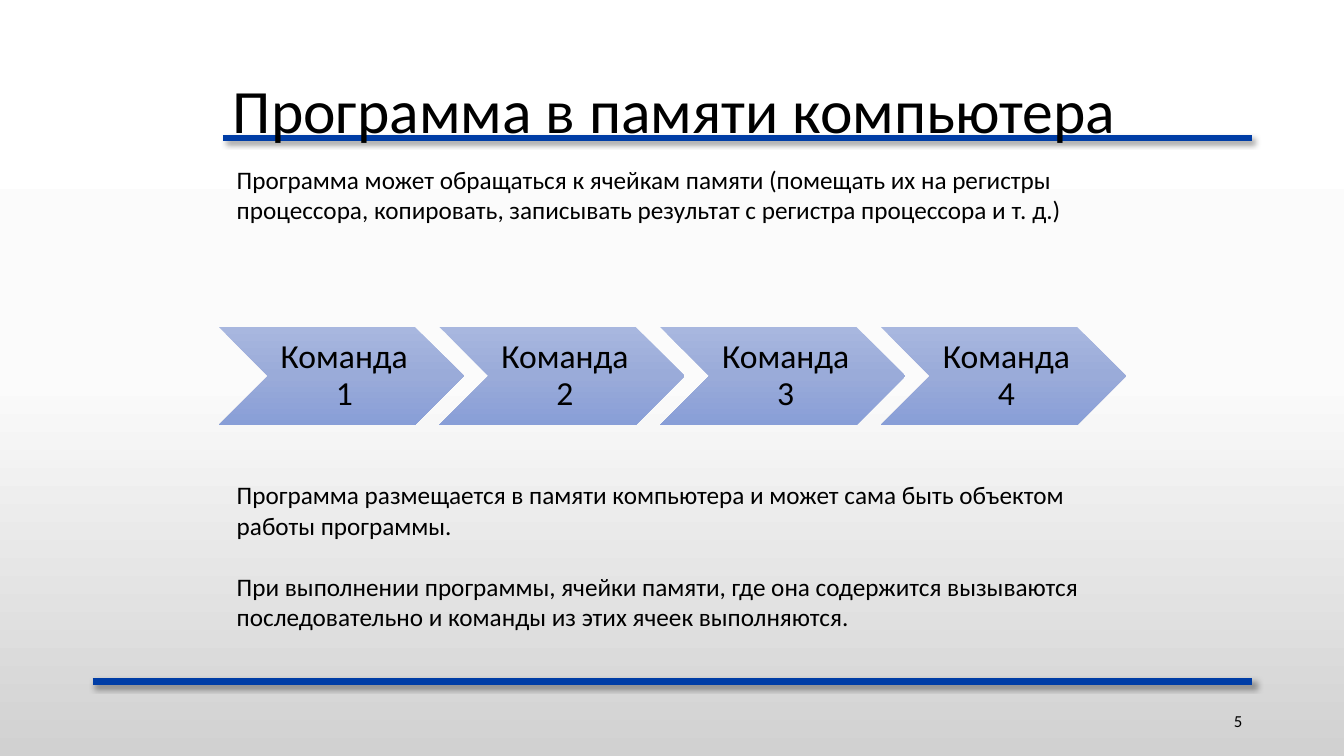
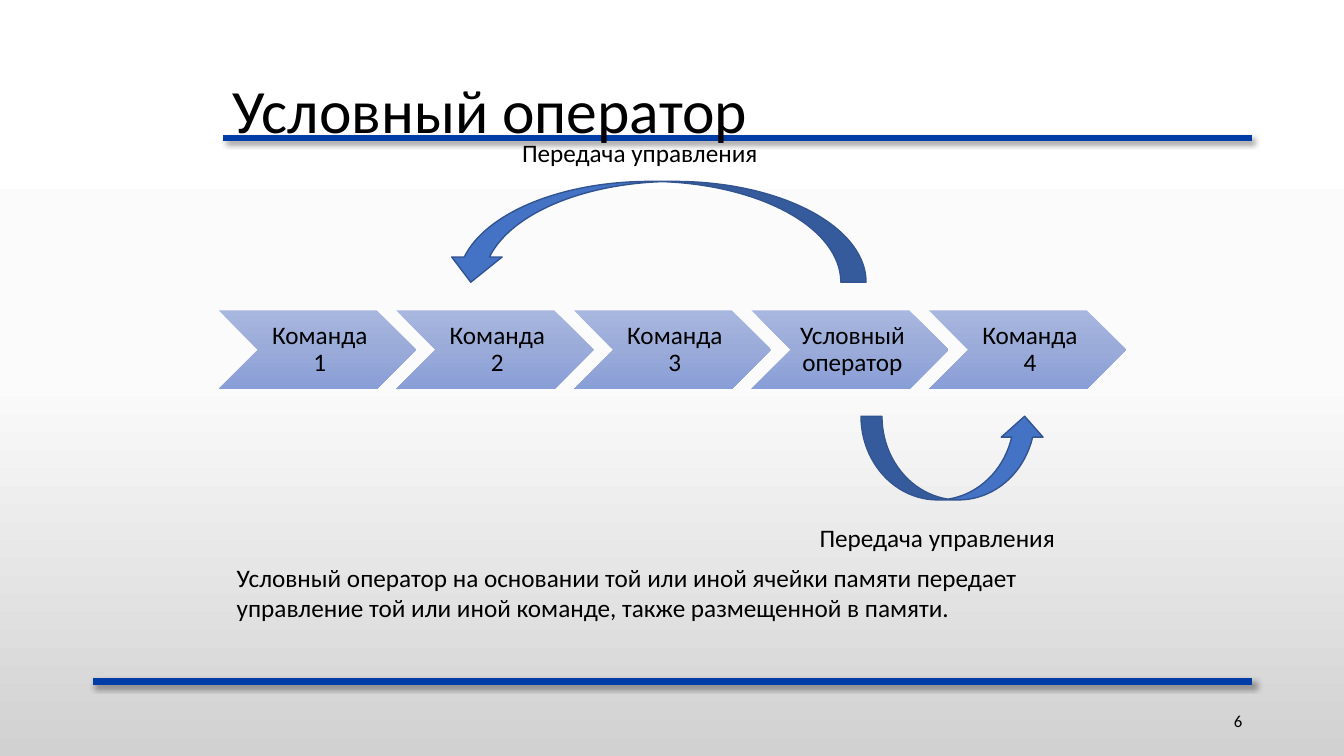
from dataclasses import dataclass

from lxml.etree import SubElement
from pptx import Presentation
from pptx.dml.color import RGBColor
from pptx.enum.shapes import MSO_CONNECTOR as LINK, MSO_SHAPE as SHAPE
from pptx.enum.text import MSO_ANCHOR as ANCHOR, MSO_AUTO_SIZE as FIT, PP_ALIGN as ALIGN
from pptx.oxml import parse_xml
from pptx.oxml.ns import nsdecls, qn
from pptx.util import Inches, Pt


@dataclass(frozen=True)
class Theme:
    font: str = "Calibri"
    ink: str = "000000"
    rule: str = "003DA6"
    arrow: str = "4472C4"
    edge: str = "325491"
    back: tuple = ("FFFFFF", "FBFBFB", "D1D1D1")
    step: tuple = ("A8B7DF", "9AABD9", "889ED7")
    title: int = 44
    big: int = 24
    body: int = 18
    small: int = 12


THEME = Theme()
LEFT, RIGHT = 2.21, 12.42
ROW_LEFT, ROW_WIDTH = 2.17, 9
PITCH = 0.9  # step distance as a share of step width


def rgb(code):
    return RGBColor.from_string(code)


def box(x, y, w, h):
    return [Inches(n) for n in (x, y, w, h)]


# Fill with evenly spaced colours, from top to bottom
def blend(fill, root, codes):
    fill.gradient()
    fill.gradient_angle = 270
    stops = root.find(".//" + qn("a:gsLst"))
    for stop in list(stops):
        stops.remove(stop)
    for i, code in enumerate(codes):
        stop = SubElement(stops, qn("a:gs"), pos=str(i * 100000 // (len(codes) - 1)))
        SubElement(stop, qn("a:srgbClr"), val=code)


# Write paragraphs and give them one style
def write(frame, lines, size, align=ALIGN.LEFT, anchor=ANCHOR.TOP, pitch=None, gap=0):
    frame.text = "\n".join(lines)
    frame.vertical_anchor = anchor
    frame.auto_size = FIT.NONE
    for i, par in enumerate(frame.paragraphs):
        par.alignment = align
        par.line_spacing = pitch
        par.space_before = Pt(gap if i else 0)
        for run in par.runs:
            run.font.name = THEME.font
            run.font.size = Pt(size)
            run.font.color.rgb = rgb(THEME.ink)


def add_text(slide, place, *lines, wrap=True, size=THEME.body, **style):
    frame = slide.shapes.add_textbox(*box(*place)).text_frame
    frame.word_wrap = wrap
    write(frame, lines, size, **style)


# Rule with a soft shadow, placed on the master
def add_rule(slide, master, start, y):
    line = slide.shapes.add_connector(LINK.STRAIGHT, *box(start, y, RIGHT, y))
    line.line.color.rgb = rgb(THEME.rule)
    line.line.width = Pt(4.5)
    line.element.spPr.append(parse_xml(
        f'<a:effectLst {nsdecls("a")}>'
        f'<a:outerShdw blurRad="{Pt(4)}" dist="{Pt(3)}" dir="2700000" rotWithShape="0">'
        '<a:srgbClr val="000000"><a:alpha val="40000"/></a:srgbClr>'
        '</a:outerShdw></a:effectLst>'))
    master.shapes.element.append(line.element)


# Row of chevrons that fills the row width
def add_steps(slide, names, middle, size):
    wide = ROW_WIDTH / (1 + PITCH * (len(names) - 1))
    high = wide * 0.4
    for i, name in enumerate(names):
        place = box(ROW_LEFT + i * wide * PITCH, middle - high / 2, wide, high)
        step = slide.shapes.add_shape(SHAPE.CHEVRON, *place)
        step.shadow.inherit = False
        blend(step.fill, step.element, THEME.step)
        step.line.fill.background()
        frame = step.text_frame
        frame.word_wrap = True
        frame.margin_left = Inches(high * 0.1)
        frame.margin_right = frame.margin_top = frame.margin_bottom = Inches(high * 0.04)
        write(frame, [name], size, ALIGN.CENTER, ANCHOR.MIDDLE, 0.9)


def add_arrow(slide, kind, place, flip=False):
    arrow = slide.shapes.add_shape(kind, *box(*place))
    arrow.shadow.inherit = False
    arrow.fill.solid()
    arrow.fill.fore_color.rgb = rgb(THEME.arrow)
    arrow.line.color.rgb = rgb(THEME.edge)
    arrow.line.width = Pt(1)
    if flip:
        arrow.element.spPr.find(qn("a:xfrm")).set("flipH", "1")


# Slide with its title and number
def add_slide(deck, title, number):
    slide = deck.slides.add_slide(deck.slide_layouts[5])
    head = slide.shapes.title
    head.left, head.top, head.width, head.height = box(LEFT, 0.4, RIGHT - LEFT, 1.45)
    write(head.text_frame, [title], THEME.title, anchor=ANCHOR.MIDDLE, pitch=0.9)
    add_text(slide, (RIGHT - 3, 6.95, 3, 0.4), str(number), size=THEME.small,
             align=ALIGN.RIGHT, anchor=ANCHOR.MIDDLE)
    return slide


def add_memory(deck):
    slide = add_slide(deck, "Программа в памяти компьютера", 5)
    add_steps(slide, [f"Команда {n}" for n in range(1, 5)], 3.73, THEME.big)
    add_text(slide, (2.25, 1.58, 8.83, 0.71),
             "Программа может обращаться к ячейкам памяти (помещать их на регистры "
             "процессора, копировать, записывать результат с регистра процессора и т. д.)")
    add_text(slide, (2.25, 4.71, 8.83, 1.62),
             "Программа размещается в памяти компьютера и может сама быть объектом "
             "работы программы.",
             "При выполнении программы, ячейки памяти, где она содержится вызываются "
             "последовательно и команды из этих ячеек выполняются.", gap=22)
    return slide


def add_branch(deck):
    slide = add_slide(deck, "Условный оператор", 6)
    names = [f"Команда {n}" for n in range(1, 5)]
    names.insert(3, "Условный оператор")
    add_steps(slide, names, 3.47, THEME.body)
    add_arrow(slide, SHAPE.CURVED_DOWN_ARROW, (4.42, 1.8, 4.17, 1), flip=True)
    add_arrow(slide, SHAPE.CURVED_UP_ARROW, (8.54, 4.13, 1.83, 0.83))
    for x, y in ((5.08, 1.31), (8.03, 5.13)):
        add_text(slide, (x, y, 2.56, 0.4), "Передача управления", wrap=False)
    add_text(slide, (2.25, 5.53, 8.83, 0.71),
             "Условный оператор на основании той или иной ячейки памяти передает "
             "управление той или иной команде, также размещенной в памяти.")


def main():
    deck = Presentation()
    deck.slide_width, deck.slide_height = Inches(13.33), Inches(7.5)
    master = deck.slide_master
    blend(master.background.fill, master.element, THEME.back)
    first = add_memory(deck)
    add_rule(first, master, LEFT, 1.37)
    add_rule(first, master, 0.92, 6.76)
    add_branch(deck)
    deck.save("out.pptx")


main()
